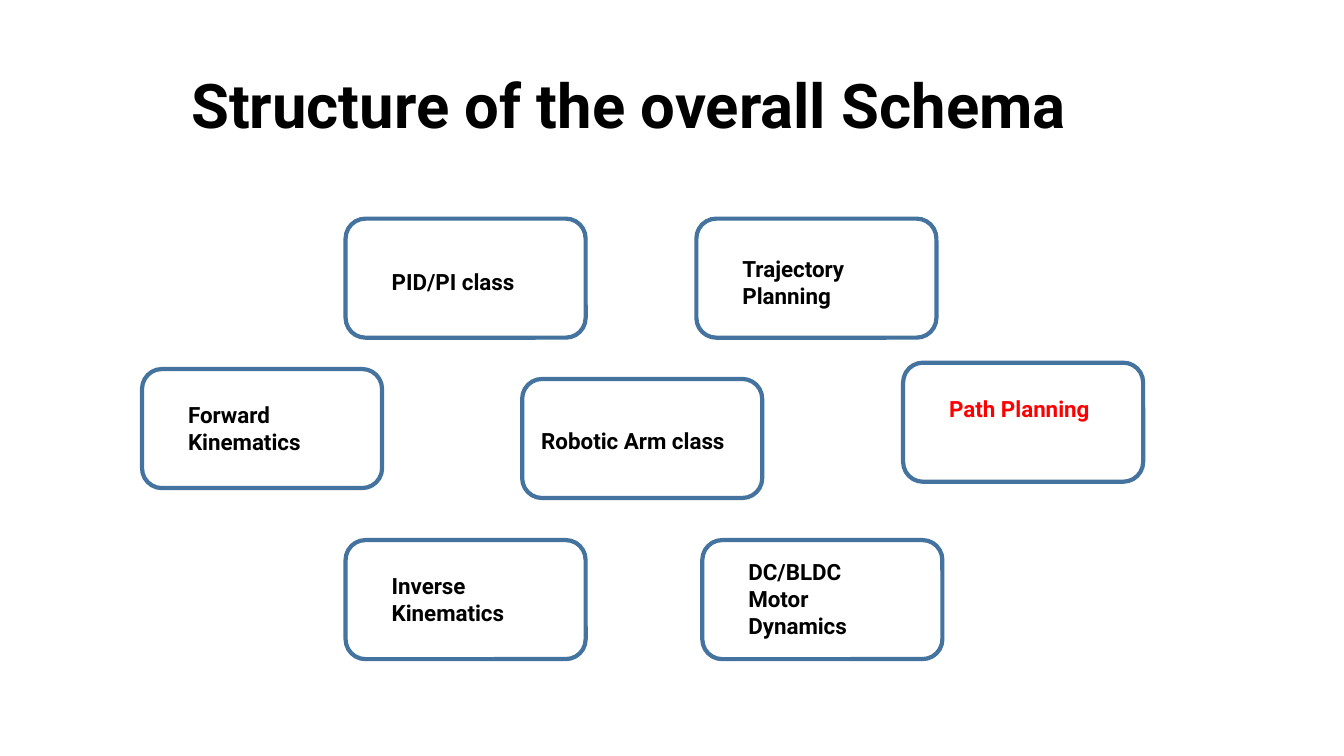
from pptx import Presentation
from pptx import util as u
from pptx.dml.color import RGBColor
from pptx.enum import shapes, text

BLACK = RGBColor(0x00, 0x00, 0x00)
RED = RGBColor(0xFF, 0x00, 0x00)
BLUE = RGBColor(0x43, 0x73, 0x9E)
WIDE, HIGH = 6.05, 3


def add_text(owner, words, left, top, width, height, size, color):
    box = owner.add_textbox(u.Cm(left), u.Cm(top), u.Cm(width), u.Cm(height))
    frame = box.text_frame
    frame.word_wrap = True
    frame.text = words
    font = frame.paragraphs[0].runs[0].font
    font.name = "Roboto"
    font.size = u.Pt(size)
    font.bold = True
    font.color.rgb = color
    return frame


deck = Presentation()
deck.slide_width = u.Cm(33.87)
deck.slide_height = u.Cm(19.05)
slide = deck.slides.add_slide(deck.slide_layouts[6])

title = add_text(slide.shapes, "Structure of the overall Schema",
                 4.57, 0.89, 23.44, 3.68, 44, BLACK)
title.vertical_anchor = text.MSO_ANCHOR.MIDDLE
title.paragraphs[0].line_spacing = 0.9

blocks = [
    ("Robotic Arm class", 13.16, 9.55, 0.23, 1.09, BLACK),
    ("PID/PI class", 8.71, 5.51, 0.91, 1.12, BLACK),
    ("Forward Kinematics", 3.58, 9.3, 0.91, 0.69, BLACK),
    ("Inverse Kinematics", 8.71, 13.61, 0.91, 0.69, BLACK),
    ("DC/BLDC Motor Dynamics", 17.7, 13.61, 0.91, 0.33, BLACK),
    ("Trajectory Planning", 17.55, 5.51, 0.91, 0.79, BLACK),
    ("Path Planning", 22.76, 9.14, 0.91, 0.69, RED),
]
for words, left, top, inset, drop, color in blocks:
    group = slide.shapes.add_group_shape()
    card = group.shapes.add_shape(
        shapes.MSO_SHAPE.ROUNDED_RECTANGLE,
        u.Cm(left), u.Cm(top), u.Cm(WIDE), u.Cm(HIGH))
    card.shadow.inherit = False
    card.fill.background()
    card.line.color.rgb = BLUE
    card.line.width = u.Pt(3)
    width = 5.82 if inset < 0.5 else WIDE - 2 * inset
    add_text(group.shapes, words, left + inset, top + drop,
             width, HIGH - 2 * drop, 16, color)

deck.save("out.pptx")
